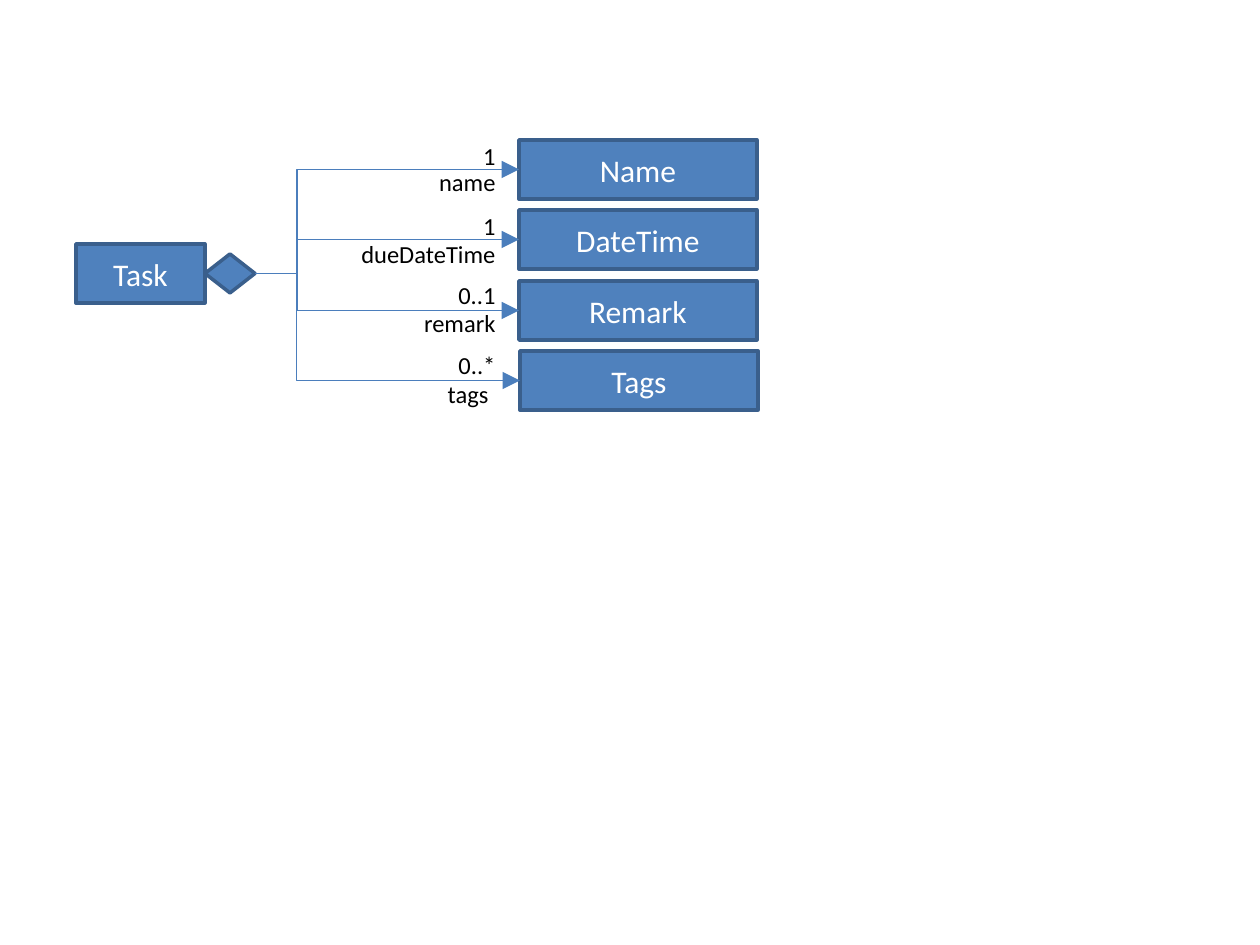
from lxml.etree import SubElement
from pptx import Presentation
from pptx.dml.color import RGBColor
from pptx.enum.shapes import MSO_CONNECTOR, MSO_SHAPE
from pptx.enum.text import MSO_ANCHOR, PP_ALIGN
from pptx.oxml.ns import qn
from pptx.util import Emu, Pt

PX = 914400 / 126
BLUE = RGBColor(0x4F, 0x81, 0xBD)
BORDER = RGBColor(0x3A, 0x5F, 0x8C)
LINE = RGBColor(0x4B, 0x7E, 0xBC)
WHITE = RGBColor(0xFF, 0xFF, 0xFF)
BLACK = RGBColor(0x00, 0x00, 0x00)

prs = Presentation()
prs.slide_width, prs.slide_height = Emu(round(1260 * PX)), Emu(round(945 * PX))
s = prs.slides.add_slide(prs.slide_layouts[6])


def put_text(sp, text, size=14, color=BLACK, align=PP_ALIGN.RIGHT, wrap=True):
    tf = sp.text_frame
    tf.word_wrap = wrap
    tf.vertical_anchor = MSO_ANCHOR.MIDDLE
    p = tf.paragraphs[0]
    p.alignment = align
    r = p.add_run()
    r.text = text
    r.font.name, r.font.size, r.font.color.rgb = "Calibri", Pt(size), color


def add_node(kind, x, y, w, h, text=""):
    sp = s.shapes.add_shape(kind, *[Emu(round(v * PX)) for v in (x, y, w, h)])
    sp.shadow.inherit = False
    sp.fill.solid()
    sp.fill.fore_color.rgb = BLUE
    sp.line.color.rgb = BORDER
    sp.line.width = Pt(2)
    if text:
        put_text(sp, text, size=18, color=WHITE, align=PP_ALIGN.CENTER)
    return sp


add_node(MSO_SHAPE.RECTANGLE, 76, 244, 129, 59, "Task")
diamond = add_node(MSO_SHAPE.FLOWCHART_DECISION, 205, 254, 50, 39)

# type, box left, multiplicity, its width and top, role, its right edge and top
attributes = [
    ("Name", 519, "1", 38, 134, "name", 508, 160),
    ("DateTime", 519, "1", 38, 204, "dueDateTime", 508, 232),
    ("Remark", 519, "0..1", 63, 273, "remark", 508, 301),
    ("Tags", 520, "0..*", 63, 343, "tags", 501, 372),
]
SPINE_X = 297
LABEL_RIGHT, LABEL_H = 508, 43

for i, (kind, x, count, count_w, count_y, role, role_right, role_y) in enumerate(attributes):
    box = add_node(MSO_SHAPE.RECTANGLE, x, 140 + i * 141 // 2, 238, 59, kind)

    link = s.shapes.add_connector(MSO_CONNECTOR.ELBOW, 0, 0, 0, 0)
    link.begin_connect(diamond, 3)
    link.end_connect(box, 1)
    link.line.color.rgb = LINE
    link.line.width = Pt(0.75)
    bend = (SPINE_X * PX - link.begin_x) / (link.end_x - link.begin_x)
    props = link._element.spPr
    guides = props.find(qn("a:prstGeom")).get_or_add_avLst()
    SubElement(guides, qn("a:gd"), name="adj1", fmla=f"val {round(bend * 100000)}")
    SubElement(props.find(qn("a:ln")), qn("a:tailEnd"), type="triangle", w="lg", len="lg")
    SubElement(props, qn("a:effectLst"))

    role_w = 215 if role == "dueDateTime" else 139
    for text, right, y, w, wrap in (
        (count, LABEL_RIGHT, count_y, count_w, False),
        (role, role_right, role_y, role_w, True),
    ):
        sp = s.shapes.add_textbox(*[Emu(round(v * PX)) for v in (right - w, y, w, LABEL_H)])
        put_text(sp, text, wrap=wrap)

prs.save("out.pptx")
